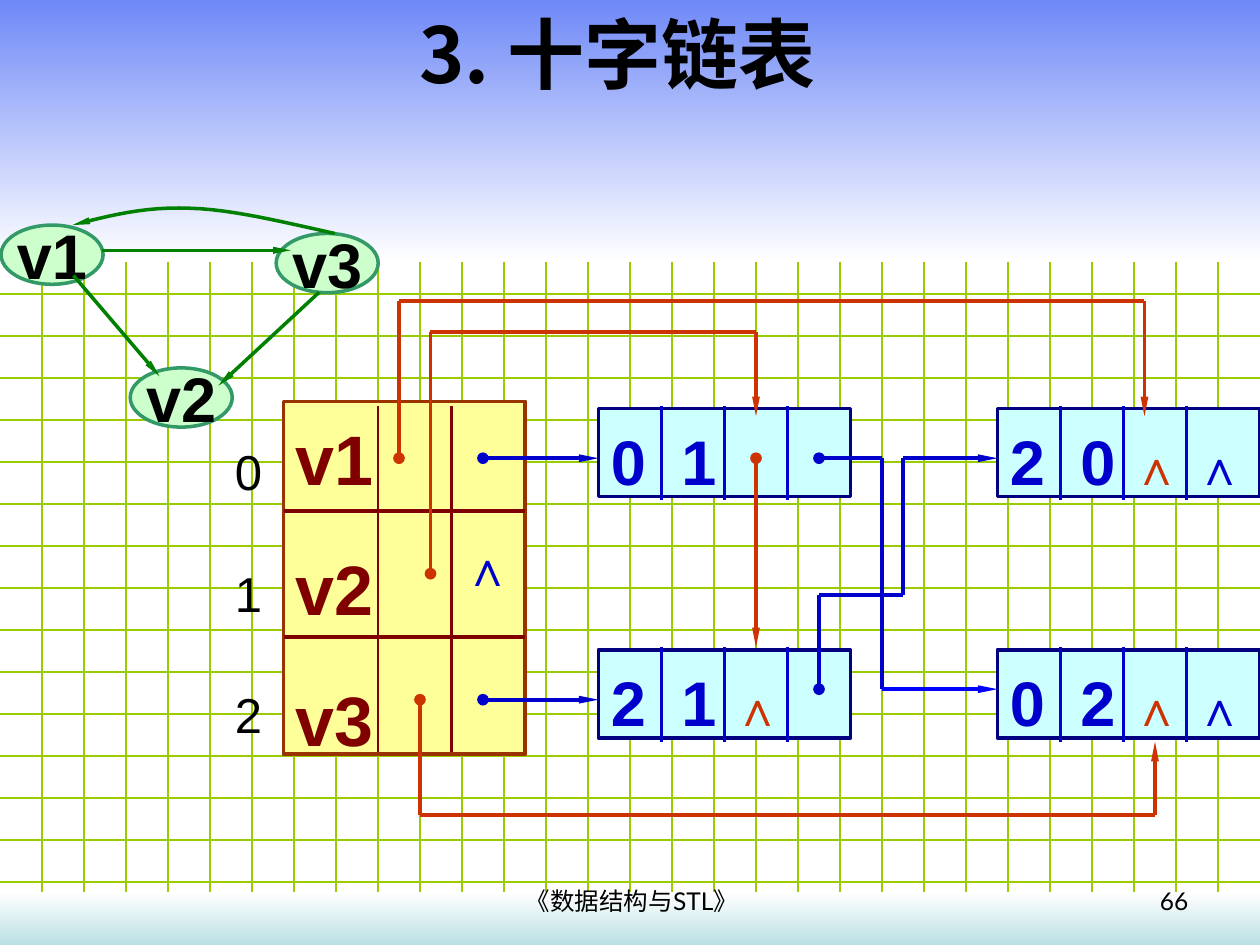
"""Build the slide on the orthogonal linked list of a directed graph."""
from itertools import pairwise
from pptx import Presentation, util as u
from pptx.dml.color import RGBColor
from pptx.enum import shapes, text
from pptx.oxml.ns import qn

COLORS = {
    "grid": "99CC00", "sky": "6F89F7", "mist": "BBE0E3", "white": "FFFFFF", "black": "000000",
    "mint": "CCFFCC", "leaf": "339966", "edge": "008000", "yellow": "FFFF99", "rust": "993300",
    "maroon": "800000", "cyan": "CCFFFF", "navy": "000080", "blue": "0000CC", "bright": "0000FF",
    "red": "CC3300",
}
WIDTH, HEIGHT, UNIT, ROW_SHIFT = 10, 7.5, 1 / 12, -0.03
TITLE = "3. 十字链表"
FOOTERS = [("《数据结构与STL》", 3.43, 3.17, "CENTER"), ("66", 7.2, 2.33, "RIGHT")]
BANDS = [(0, 2.08, "sky", "white"), (7.08, 0.42, "white", "mist")]

VERTICES = [("v1", 0.1, 21.8), ("v2", 12.4, 35.4), ("v3", 26.3, 22.6)]
EDGES = [[(7, 26.6), (15.2, 36.2)], [(9.7, 24.2), (27.7, 24.2)], [(30.4, 28.2), (20.8, 37.1)]]
ARC = [[(31.9, 22.6), (26.9, 21.5), (22.1, 20.3), (18.1, 20.2)],
       [(18.1, 20.2), (13.9, 20), (10.4, 20.9), (6.9, 21.8)]]

HEAD_NAMES = ["v1", "v2", "v3"]
HEAD_RULES = [([(27, 49), (50, 49)], 2.25), ([(27, 61), (50, 61)], 2.25),
              ([(36, 39), (36, 72)], 1.5), ([(43, 39), (43, 72)], 1.5)]
ARC_NODES = [
    (57, 39, 24, ["0", "1"]), (95, 39, 25, ["2", "0", "∧", "∧"]),
    (57, 62, 24, ["2", "1", "∧"]), (95, 62, 25, ["0", "2", "∧", "∧"]),
]
NODE_STYLES = [(36, "blue"), (36, "blue"), (28, "red"), (28, "blue")]
NODE_TABS = [0.56, 0.97, 1.47]
LINKS = [
    ("blue", [(46, 44), (57, 44)], "oval", "triangle"),
    ("blue", [(78, 44), (84, 44), (84, 66)], "oval", None),
    ("bright", [(84, 66), (95, 66)], None, "triangle"),
    ("blue", [(46, 67), (57, 67)], "oval", "triangle"),
    ("blue", [(78, 66), (78, 57), (86, 57), (86, 44), (95, 44)], "oval", "triangle"),
    ("red", [(38, 44), (38, 29), (109, 29), (109, 40)], "oval", "triangle"),
    ("red", [(72, 44), (72, 62)], "oval", "triangle"),
    ("red", [(41, 55), (41, 32), (72, 32), (72, 40)], "oval", "triangle"),
    ("red", [(40, 67), (40, 78), (110, 78), (110, 71)], "oval", "triangle"),
]

presentation = Presentation()
presentation.slide_width, presentation.slide_height = u.Inches(WIDTH), u.Inches(HEIGHT)
slide = presentation.slides.add_slide(presentation.slide_layouts[5])


def rgb(name):
    return RGBColor.from_string(COLORS[name])


def place(x, y):
    return u.Inches(x * UNIT), u.Inches(y * UNIT + ROW_SHIFT)


def add_ends(line, head, tail):
    properties = line._get_or_add_ln()
    for tag, kind in (("a:headEnd", head), ("a:tailEnd", tail)):
        if kind:
            end = properties.makeelement(qn(tag), {"type": kind})
            if kind == "triangle":
                end.set("w", "sm")
                end.set("len", "lg")
            properties.append(end)


def draw_line(start, finish, color, width, head=None, tail=None):
    connector = slide.shapes.add_connector(shapes.MSO_CONNECTOR.STRAIGHT, *start, *finish)
    connector.line.color.rgb, connector.line.width = rgb(color), u.Pt(width)
    add_ends(connector.line, head, tail)
    connector._element.spPr.append(connector._element.makeelement(qn("a:effectLst"), {}))


def draw_path(points, color, width, head=None, tail=None):
    legs = list(pairwise(points))
    for index, (start, finish) in enumerate(legs):
        draw_line(place(*start), place(*finish), color, width,
                  head if index == 0 else None, tail if index == len(legs) - 1 else None)


def draw_shape(kind, left, top, width, height, fill, line=None, line_width=2.0):
    shape = slide.shapes.add_shape(kind, left, top, width, height)
    shape.shadow.inherit = False
    if isinstance(fill, tuple):
        shape.fill.gradient()
        shape.fill.gradient_angle = 270
        for stop, color in zip(shape.fill.gradient_stops, fill):
            stop.color.rgb, stop.position = rgb(color), fill.index(color)
    else:
        shape.fill.solid()
        shape.fill.fore_color.rgb = rgb(fill)
    if line:
        shape.line.color.rgb, shape.line.width = rgb(line), u.Pt(line_width)
    else:
        shape.line.fill.background()
    return shape


def write(shape, paragraphs, size=28, color="black", font="Arial", bold=False, align="LEFT",
          anchor="TOP", wrap=True, before=0, top=0.05, tabs=()):
    """Fill a shape; each paragraph is a string or a list of (text, size, color) runs."""
    frame = shape.text_frame
    frame.word_wrap, frame.vertical_anchor = wrap, text.MSO_ANCHOR[anchor]
    frame.margin_left = frame.margin_right = u.Inches(0.1)
    frame.margin_top, frame.margin_bottom = u.Inches(top), u.Inches(0.05)
    for index, content in enumerate(paragraphs):
        paragraph = frame.add_paragraph() if index else frame.paragraphs[0]
        paragraph.alignment = text.PP_ALIGN[align]
        paragraph.space_before = u.Pt(before if index else 0)
        if tabs:
            properties = paragraph._p.get_or_add_pPr()
            tab_list = properties.makeelement(qn("a:tabLst"), {})
            properties.append(tab_list)
            for tab in tabs:
                tab_list.append(tab_list.makeelement(
                    qn("a:tab"), {"pos": str(u.Inches(tab)), "algn": "l"}))
        runs = [(content, size, color)] if isinstance(content, str) else content
        for words, run_size, run_color in runs:
            run = paragraph.add_run()
            run.text = words
            run.font.name, run.font.size, run.font.bold = font, u.Pt(run_size), bold
            run.font.color.rgb = rgb(run_color)
            properties = run.font._element
            properties.append(properties.makeelement(
                qn("a:ea"), {"typeface": "Noto Sans CJK SC"}))


def draw_background():
    step = 1 / 3
    for index in range(1, 23):
        y = u.Inches(index * step)
        draw_line((0, y), (u.Inches(WIDTH), y), "grid", 0.75)
    for index in range(1, 30):
        x = u.Inches(index * step)
        draw_line((x, 0), (x, u.Inches(HEIGHT)), "grid", 0.75)
    for top, height, first, last in BANDS:
        draw_shape(shapes.MSO_SHAPE.RECTANGLE, 0, u.Inches(top), u.Inches(WIDTH),
                   u.Inches(height), (first, last))


def draw_texts():
    title = slide.shapes.title
    title._element.getparent().append(title._element)
    title.left, title.top, title.width, title.height = 0, 0, u.Inches(9.8), u.Inches(0.84)
    write(title, [TITLE], size=44, font="Noto Sans CJK SC", bold=True, align="CENTER",
          anchor="MIDDLE")
    for words, left, width, align in FOOTERS:
        box = slide.shapes.add_textbox(u.Inches(left), u.Inches(6.98), u.Inches(width),
                                       u.Inches(0.36))
        write(box, [words], size=14, font="Lato", align=align)


def draw_graph():
    for name, x, y in VERTICES:
        ellipse = draw_shape(shapes.MSO_SHAPE.OVAL, *place(x, y), u.Inches(0.81),
                             u.Inches(0.47), "mint", "leaf")
        write(ellipse, [name], size=36, bold=True, align="CENTER", anchor="MIDDLE", wrap=False)
    for edge in EDGES:
        draw_path(edge, "edge", 2, tail="triangle")
    points = []
    for curve in ARC:
        for t in (step / 12 for step in range(13)):
            weights = ((1 - t) ** 3, 3 * t * (1 - t) ** 2, 3 * t * t * (1 - t), t ** 3)
            points.append(place(*(sum(w * p[axis] for w, p in zip(weights, curve))
                                  for axis in (0, 1))))
    builder = slide.shapes.build_freeform(*points[0])
    builder.add_line_segments(points[1:], close=False)
    arc = builder.convert_to_shape()
    arc.shadow.inherit = False
    arc.fill.background()
    arc.line.color.rgb, arc.line.width = rgb("edge"), u.Pt(2)
    add_ends(arc.line, None, "triangle")


def draw_lists():
    head = draw_shape(shapes.MSO_SHAPE.RECTANGLE, *place(27, 38.6), u.Inches(1.92),
                      u.Inches(2.8), "yellow", "rust", 2.25)
    write(head, HEAD_NAMES, size=40, color="maroon", bold=True, before=26.5, top=0.11)
    for points, width in HEAD_RULES:
        draw_path(points, "maroon", width)
    empty = slide.shapes.add_textbox(*place(43, 51), u.Inches(0.59), u.Inches(0.57))
    write(empty, ["∧"], color="blue", bold=True, wrap=False)
    for x, y, columns, values in ARC_NODES:
        node = draw_shape(shapes.MSO_SHAPE.RECTANGLE, *place(x, y + 0.25),
                          u.Inches(columns * UNIT), u.Inches(0.7), "cyan", "navy")
        runs = [("\t" * (index > 0) + value, *style)
                for index, (value, style) in enumerate(zip(values, NODE_STYLES))]
        write(node, [runs], bold=True, top=0.11, tabs=NODE_TABS)
        for divider in (6, 12, 18):
            draw_path([(x + divider, y), (x + divider, y + 9)], "blue", 1.5)
    for color, points, start, finish in LINKS:
        draw_path(points, color, 2.25, start, finish)
    labels = slide.shapes.add_textbox(*place(21.2, 41.3), u.Inches(0.47), u.Inches(2.48))
    write(labels, ["0", "1", "2"], before=36, top=0.09)


draw_background()
draw_texts()
draw_graph()
draw_lists()
presentation.save("out.pptx")
